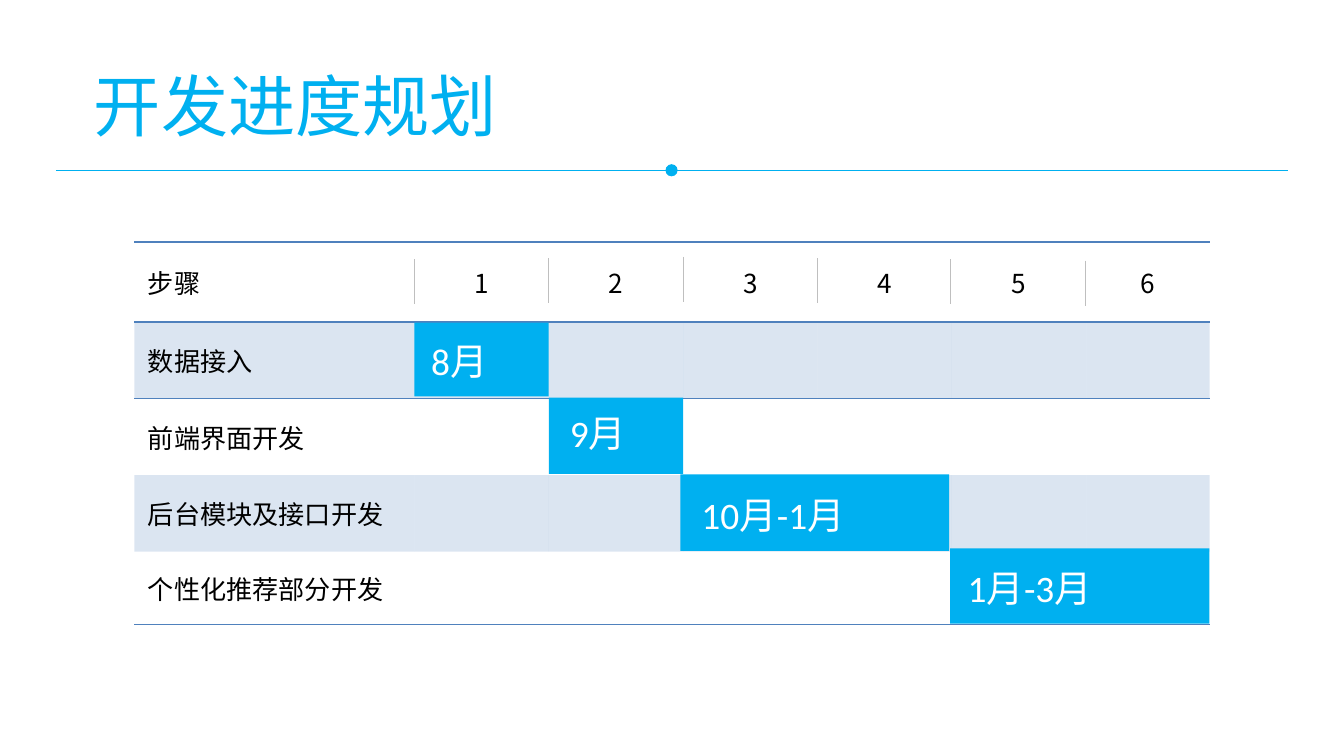
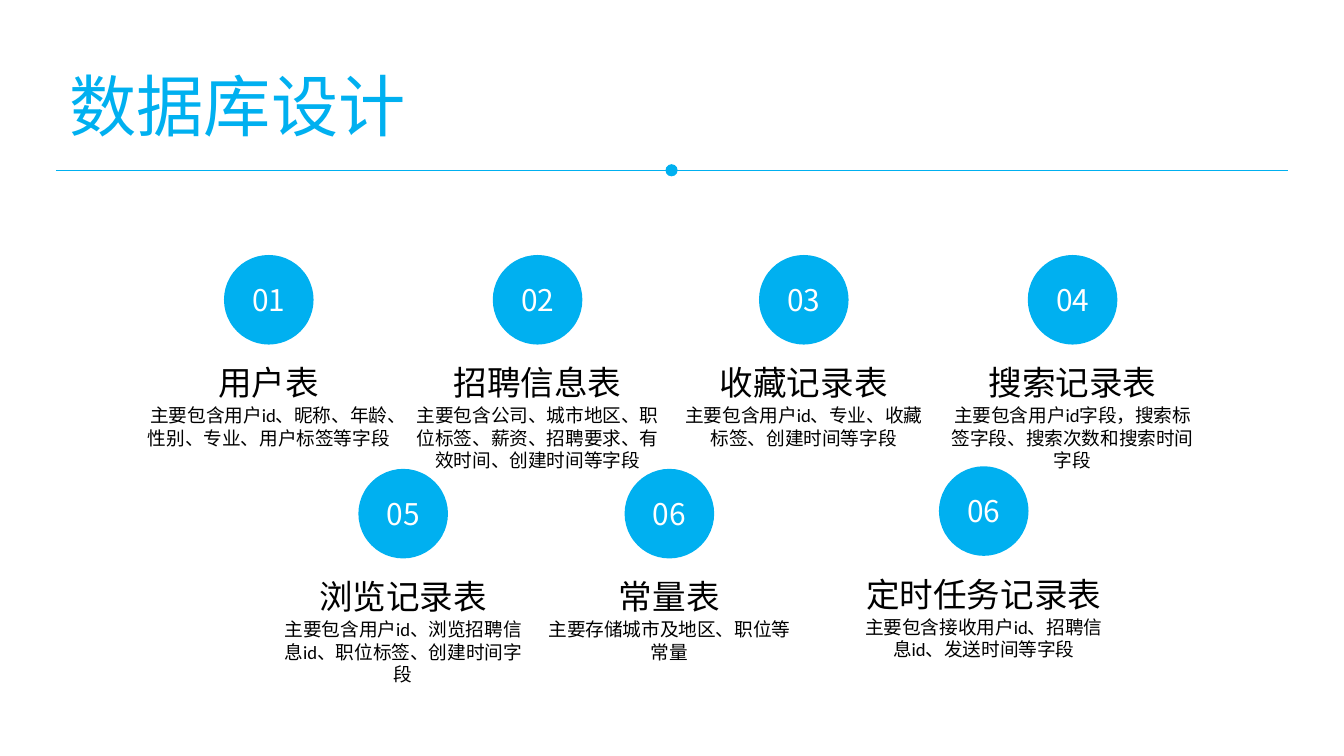
from pptx import Presentation
from pptx.util import Pt
from pptx.dml.color import RGBColor as Rgb
from pptx.enum.shapes import MSO_SHAPE as Geo, MSO_CONNECTOR as Link
from pptx.enum.text import PP_ALIGN as Align, MSO_ANCHOR as Anchor, MSO_AUTO_SIZE as Fit
from pptx.oxml.ns import qn
from lxml.etree import SubElement as Sub

INK = {"sky": "00B0F0", "blue": "4F81BD", "gray": "BFBFBF", "white": "FFFFFF", "black": "000000"}
SANS, LATIN = "Noto Sans CJK KR", "Calibri"
PLAIN = "{2D5ABB26-0587-4C30-8999-92F81FD0307C}"


def write(frame, text, size, font=SANS, ink="black", align=Align.LEFT):
    par = frame.paragraphs[0]
    par.alignment = align
    run = par.add_run()
    run.text = text
    run.font.size = Pt(size)
    run.font.name = font
    run.font.color.rgb = Rgb.from_string(INK[ink])
    Sub(run.font._element, qn("a:ea")).set("typeface", SANS)


def draw(slide, kind, box, ink=None, width=0.75):
    box = [Pt(n) for n in box]
    if kind == "line":
        item = slide.shapes.add_connector(Link.STRAIGHT, *box)
        item.line.color.rgb = Rgb.from_string(INK[ink])
        item.line.width = Pt(width)
        Sub(item._element.spPr, qn("a:effectLst"))
    elif kind == "text":
        item = slide.shapes.add_textbox(*box)
        item.text_frame.word_wrap = True
        item.text_frame.auto_size = Fit.SHAPE_TO_FIT_TEXT
    else:
        item = slide.shapes.add_shape(kind, *box)
        item.shadow.inherit = False
        item.fill.solid()
        item.fill.fore_color.rgb = Rgb.from_string(INK[ink])
        item.line.fill.background()
    return item


deck = Presentation()
deck.slide_width, deck.slide_height = Pt(720), Pt(405)
pages = []
for title, left, width in [("开发进度规划", 43.2, 268.5), ("数据库设计", 30.2, 383)]:
    page = deck.slides.add_slide(deck.slide_layouts[6])
    write(draw(page, "text", (left, 31, width, 51)).text_frame, title, 36, ink="sky")
    draw(page, "line", (30, 91.3, 690, 91.3), "sky")
    draw(page, Geo.OVAL, (356.5, 88, 6.5, 6.5), "sky")
    pages.append(page)
plan, data = pages

steps = ["步骤", "数据接入", "前端界面开发", "后台模块及接口开发", "个性化推荐部分开发"]
highs = [43, 41, 41, 41, 39]
wides = [150] + [72] * 5 + [66]
frame = plan.shapes.add_table(5, 7, Pt(72), Pt(129.6), Pt(sum(wides)), Pt(sum(highs)))
grid = frame.table
grid.first_row = grid.horz_banding = False
grid._tbl.tblPr.find(qn("a:tableStyleId")).text = PLAIN
for col, wide in zip(grid.columns, wides):
    col.width = Pt(wide)
for r, (step, high) in enumerate(zip(steps, highs)):
    grid.rows[r].height = Pt(high)
    for c in range(7):
        cell = grid.cell(r, c)
        cell.vertical_anchor = Anchor.MIDDLE
        if c == 0:
            write(cell.text_frame, step, 14)
        elif r == 0:
            write(cell.text_frame, str(c), 14, align=Align.CENTER)
        sides = {0: ["a:lnT", "a:lnB"], 1: ["a:lnT"], 4: ["a:lnB"]}.get(r, [])
        for side in sides:
            edge = Sub(cell._tc.get_or_add_tcPr(), qn(side), w=str(Pt(1)))
            Sub(Sub(edge, qn("a:solidFill")), qn("a:srgbClr"), val=INK["blue"])
        if r % 2:
            cell.fill.solid()
            cell.fill.fore_color.rgb = Rgb.from_string(INK["blue"])
            tint = cell._tc.tcPr.find(qn("a:solidFill"))[0]
            Sub(tint, qn("a:alpha"), val="20000")
        else:
            cell.fill.background()

bars = [
    ("8月", (222, 172.8, 72, 39.6), (231, 180.7, 54, 24.5)),
    ("9月", (294, 213, 72, 41), (305.3, 219.6, 121, 24.5)),
    ("10月-1月", (364.5, 254.2, 144, 41), (375.8, 263.5, 121, 24.5)),
    ("1月-3月", (509, 293.8, 139, 40.3), (518.4, 302.4, 121, 24.5)),
]
for span, bar, spot in bars:
    draw(plan, Geo.RECTANGLE, bar, "sky")
    body = draw(plan, "text", spot).text_frame
    body.margin_left = body.margin_right = body.margin_top = body.margin_bottom = 0
    body.vertical_anchor = Anchor.MIDDLE
    write(body, span, 20, LATIN, "white")
for c, top in enumerate([139, 138.3, 137.6, 138.3, 139, 139.7]):
    x = 222 + 72 * c - (0.7 if c > 3 else 0)
    draw(plan, "line", (x, top, x, top + 24), "gray", 0.5)

cards = [
    (72, 136.6, "01", "用户表", "主要包含用户id、昵称、年龄、性别、专业、用户标签等字段"),
    (216, 136.6, "02", "招聘信息表", "主要包含公司、城市地区、职位标签、薪资、招聘要求、有效时间、创建时间等字段"),
    (358.6, 136.6, "03", "收藏记录表", "主要包含用户id、专业、收藏标签、创建时间等字段"),
    (502.6, 136.6, "04", "搜索记录表", "主要包含用户id字段，搜索标签字段、搜索次数和搜索时间字段"),
    (144, 251.2, "05", "浏览记录表", "主要包含用户id、浏览招聘信息id、职位标签、创建时间字段"),
    (286.6, 251.2, "06", "常量表", "主要存储城市及地区、职位等常量"),
    (455, 249.8, "06", "定时任务记录表", "主要包含接收用户id、招聘信息id、发送时间等字段"),
]
for x, y, mark, name, note in cards:
    disc = draw(data, Geo.OVAL, (x + 48, y, 48, 48), "sky").text_frame
    disc.vertical_anchor = Anchor.MIDDLE
    write(disc, mark, 16, ink="white", align=Align.CENTER)
    head = draw(data, "text", (x, y + 54, 144, 29))
    write(head.text_frame, name, 18, align=Align.CENTER)
    body = draw(data, "text", (x, y + 76.4, 144, 43.2 if len(note) > 25 else 31.7))
    write(body.text_frame, note, 10, LATIN, align=Align.CENTER)

deck.save("out.pptx")
